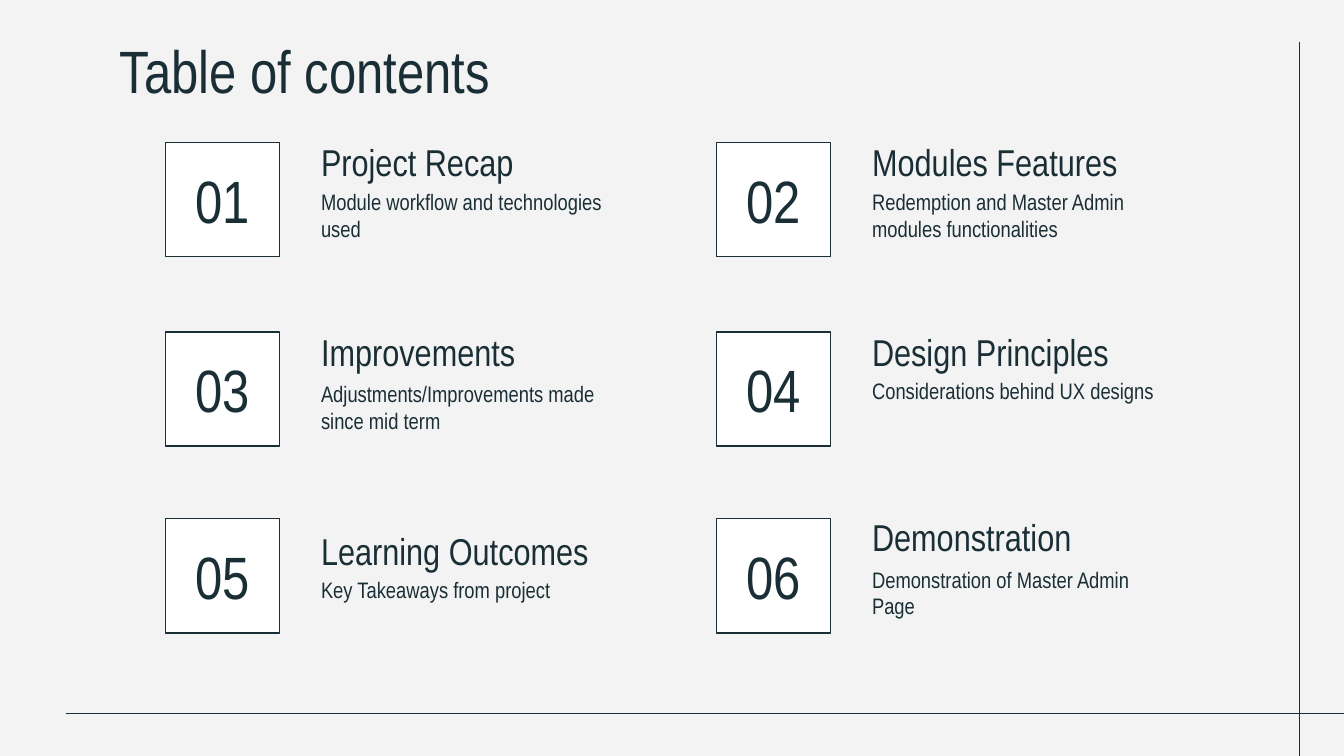
from pptx import Presentation
from pptx.dml.color import RGBColor
from pptx.enum import shapes, text
from pptx.oxml.ns import qn
from pptx.util import Inches, Pt
from lxml import etree

INK = "1A2E35"
FONT = "Arial Narrow"
WIDTH = 10
HEIGHT = WIDTH * 9 / 16
LEFTS = (1.23, 5.33)
TOPS = (1.06, 2.47, 3.86)
SIDE = 0.85
INDENT = 1.06

# heading, heading top, note, note top, note width
ITEMS = [
    ("Project Recap", 0.62, "Module workflow and technologies used", 1.3, 2.38),
    ("Modules Features", 0.62,
     "Redemption and Master Admin modules functionalities", 1.3, 2.58),
    ("Improvements", 2.03,
     "Adjustments/Improvements made since mid term", 2.73, 2.38),
    ("Design Principles", 2.03, "Considerations behind UX designs", 2.71, 2.38),
    ("Learning Outcomes", 3.51, "Key Takeaways from project", 4.19, 2.38),
    ("Demonstration", 3.41, "Demonstration of Master Admin Page", 4.11, 2.38),
]


def color(code):
    return RGBColor.from_string(code)


def write(shape, words, size, anchor=text.MSO_ANCHOR.TOP,
          align=text.PP_ALIGN.LEFT):
    frame = shape.text_frame
    frame.text = words
    frame.word_wrap = True
    frame.auto_size = text.MSO_AUTO_SIZE.NONE
    frame.vertical_anchor = anchor
    frame.margin_left = frame.margin_right = Inches(0.1)
    frame.margin_top = frame.margin_bottom = Inches(0.1)
    par = frame.paragraphs[0]
    par.alignment = align
    font = par.runs[0].font
    font.name = FONT
    font.size = Pt(size)
    font.color.rgb = color(INK)


def add_rule(slide, x1, y1, x2, y2):
    rule = slide.shapes.add_connector(
        shapes.MSO_CONNECTOR.STRAIGHT,
        Inches(x1), Inches(y1), Inches(x2), Inches(y2))
    rule.line.color.rgb = color(INK)
    rule.line.width = Pt(0.75)
    etree.SubElement(rule._element.spPr, qn("a:effectLst"))


def add_title(slide, words):
    title = slide.shapes.title
    title.left, title.top = Inches(0.79), Inches(0.15)
    title.width, title.height = Inches(8.43), Inches(0.63)
    write(title, words, 32)


def add_number(slide, left, top, number):
    box = slide.shapes.add_shape(
        shapes.MSO_SHAPE.RECTANGLE,
        Inches(left), Inches(top), Inches(SIDE), Inches(SIDE))
    box.shadow.inherit = False
    box.fill.solid()
    box.fill.fore_color.rgb = color("FFFFFF")
    box.line.color.rgb = color(INK)
    box.line.width = Pt(0.75)
    write(box, f"{number:02d}", 32, text.MSO_ANCHOR.MIDDLE,
          text.PP_ALIGN.CENTER)


def add_label(slide, left, top, width, height, words, size,
              anchor=text.MSO_ANCHOR.TOP):
    label = slide.shapes.add_textbox(
        Inches(left), Inches(top), Inches(width), Inches(height))
    write(label, words, size, anchor)


def add_item(slide, index, head, head_top, note, note_top, note_width):
    row, col = divmod(index, 2)
    left = LEFTS[col]
    add_number(slide, left, TOPS[row], index + 1)
    add_label(slide, left + INDENT, head_top, 2.38, 0.85, head, 20,
              text.MSO_ANCHOR.BOTTOM)
    add_label(slide, left + INDENT, note_top, note_width, 0.63, note, 12)


def main():
    deck = Presentation()
    deck.slide_width, deck.slide_height = Inches(WIDTH), Inches(HEIGHT)
    slide = deck.slides.add_slide(deck.slide_layouts.get_by_name("Title Only"))
    slide.background.fill.solid()
    slide.background.fill.fore_color.rgb = color("F3F3F3")
    add_rule(slide, 0.49, 5.31, WIDTH, 5.31)
    add_rule(slide, 9.67, 0.31, 9.67, HEIGHT)
    add_title(slide, "Table of contents")
    for index, item in enumerate(ITEMS):
        add_item(slide, index, *item)
    deck.save("out.pptx")


if __name__ == "__main__":
    main()
